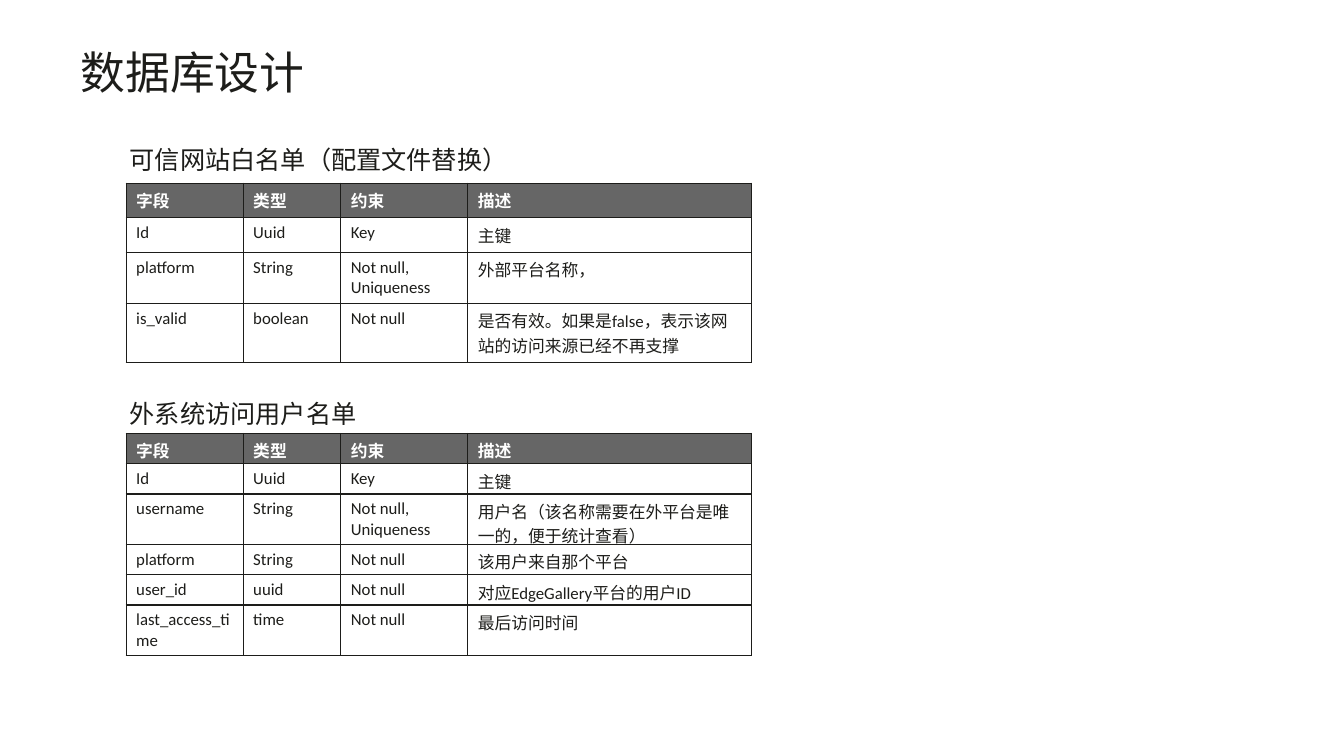
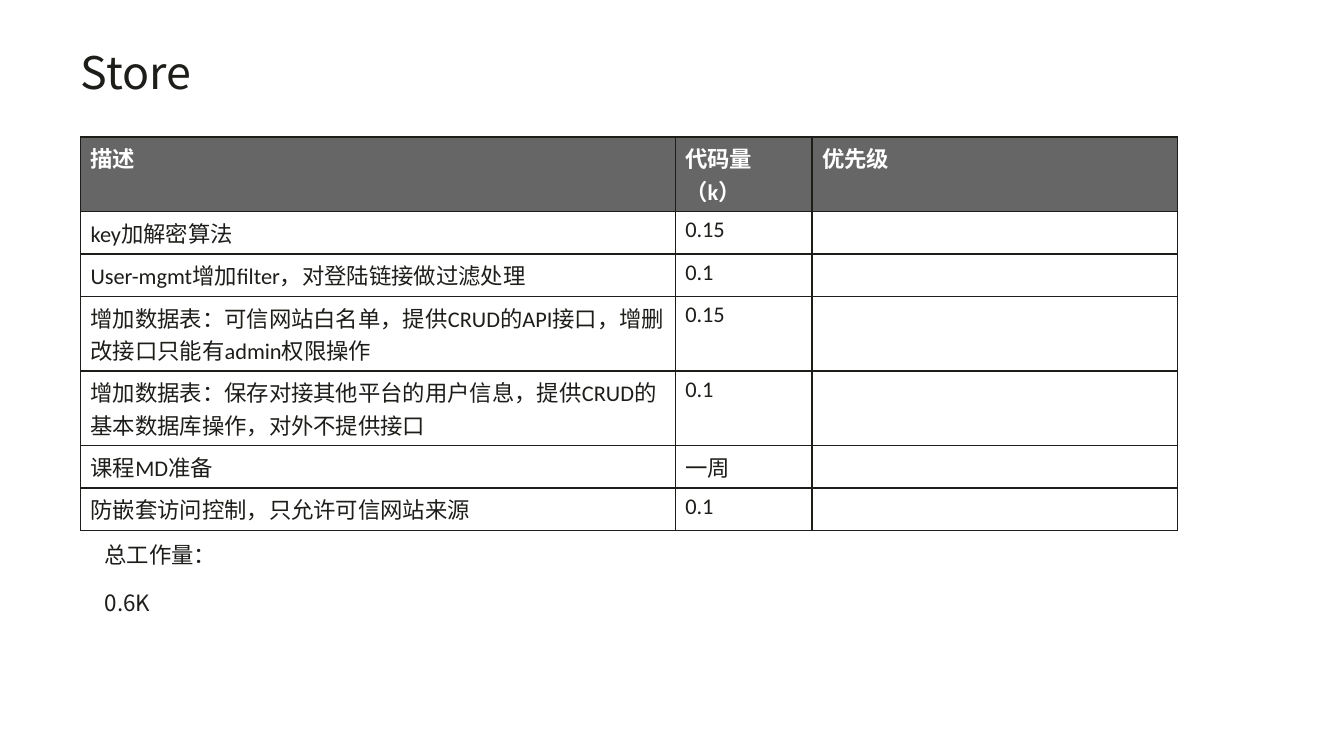
from lxml.etree import SubElement
from pptx import Presentation
from pptx.dml.color import RGBColor
from pptx.enum.lang import MSO_LANGUAGE_ID
from pptx.enum.text import MSO_ANCHOR, MSO_AUTO_SIZE, PP_ALIGN
from pptx.oxml import parse_xml
from pptx.oxml.ns import nsdecls, qn
from pptx.util import Cm, Pt

COLOURS = {"ink": "1D1D1A", "header": "666666", "paper": "FFFFFF"}
LATIN_FONT = "Calibri"
CHINESE_FONT = "Noto Sans CJK SC"
BORDER_WIDTH = Pt(1)


def style_paragraph(paragraph, size, font_name=LATIN_FONT, colour="ink", bold=False):
    for run in paragraph.runs:
        font = run.font
        font.size = Pt(size)
        font.bold = bold
        font.name = font_name
        font.language_id = MSO_LANGUAGE_ID.SIMPLIFIED_CHINESE
        font.color.rgb = RGBColor.from_string(COLOURS[colour])
        SubElement(run._r.get_or_add_rPr(), qn("a:ea")).set("typeface", CHINESE_FONT)


def add_data_table(slide, left, top, column_widths, row_height, size, rows):
    table = slide.shapes.add_table(
        len(rows), len(column_widths), Cm(left), Cm(top),
        Cm(sum(column_widths)), Cm(row_height * len(rows)),
    ).table
    table.horz_banding = False
    for column, width in zip(table.columns, column_widths):
        column.width = Cm(width)
    for row_index, values in enumerate(rows):
        table.rows[row_index].height = Cm(row_height)
        is_header = row_index == 0
        for column_index, value in enumerate(values):
            cell = table.cell(row_index, column_index)
            properties = cell._tc.get_or_add_tcPr()
            for side in ("lnL", "lnR", "lnT", "lnB"):
                properties.append(parse_xml(
                    f'<a:{side} {nsdecls("a")} w="{BORDER_WIDTH}"><a:solidFill>'
                    f'<a:srgbClr val="{COLOURS["ink"]}"/></a:solidFill></a:{side}>'
                ))
            cell.fill.solid()
            cell.fill.fore_color.rgb = RGBColor.from_string(
                COLOURS["header" if is_header else "paper"])
            if value:
                cell.text_frame.text = value
                style_paragraph(cell.text_frame.paragraphs[0], size,
                                colour="paper" if is_header else "ink", bold=is_header)


presentation = Presentation()
presentation.slide_width = Cm(33.88)
presentation.slide_height = Cm(19.05)

slides = []
for title_text in ("数据库设计", "Store"):
    slide = presentation.slides.add_slide(presentation.slide_layouts[5])
    slides.append(slide)
    title = slide.shapes.title
    title.left, title.top, title.width, title.height = Cm(2.03), Cm(1.27), Cm(29.85), Cm(1.8)
    text_frame = title.text_frame
    text_frame.text = title_text
    text_frame.auto_size = MSO_AUTO_SIZE.NONE
    text_frame.vertical_anchor = MSO_ANCHOR.TOP
    text_frame.margin_left = text_frame.margin_right = 0
    text_frame.margin_top = text_frame.margin_bottom = 0
    paragraph = text_frame.paragraphs[0]
    paragraph.alignment = PP_ALIGN.LEFT
    paragraph.line_spacing = Pt(34.3)
    style_paragraph(paragraph, 32, CHINESE_FONT)

database_slide, store_slide = slides

field_header = ("字段", "类型", "约束", "描述")
id_row = ("Id", "Uuid", "Key", "主键")
database_tables = [
    ("可信网站白名单（配置文件替换）", 3.5, 4.62, [
        ("platform", "String", "Not null, Uniqueness", "外部平台名称，"),
        ("is_valid", "boolean", "Not null",
         "是否有效。如果是false，表示该网站的访问来源已经不再支撑"),
    ]),
    ("外系统访问用户名单", 9.9, 10.92, [
        ("username", "String", "Not null, Uniqueness",
         "用户名（该名称需要在外平台是唯一的，便于统计查看）"),
        ("platform", "String", "Not null", "该用户来自那个平台"),
        ("user_id", "uuid", "Not null", "对应EdgeGallery平台的用户ID"),
        ("last_access_time", "time", "Not null", "最后访问时间"),
    ]),
]
for caption_text, caption_top, table_top, field_rows in database_tables:
    add_data_table(database_slide, 3.18, table_top, (2.95, 2.46, 3.2, 7.16), 0.76, 12,
                   [field_header, id_row, *field_rows])
    caption = database_slide.shapes.add_textbox(Cm(3.02), Cm(caption_top), Cm(10.13), Cm(1.02))
    caption.text_frame.word_wrap = True
    caption.text_frame.text = caption_text
    style_paragraph(caption.text_frame.paragraphs[0], 18)

add_data_table(store_slide, 2.03, 3.45, (14.99, 3.45, 9.22), 1.04, 16, [
    ("描述", "代码量（k）", "优先级"),
    ("key加解密算法", "0.15", ""),
    ("User-mgmt增加filter，对登陆链接做过滤处理", "0.1", ""),
    ("增加数据表：可信网站白名单，提供CRUD的API接口，增删改接口只能有admin权限操作", "0.15", ""),
    ("增加数据表：保存对接其他平台的用户信息，提供CRUD的基本数据库操作，对外不提供接口", "0.1", ""),
    ("课程MD准备", "一周", ""),
    ("防嵌套访问控制，只允许可信网站来源", "0.1", ""),
])

total = store_slide.shapes.add_textbox(Cm(2.39), Cm(12.98), Cm(3.8), Cm(2.7))
total.text_frame.word_wrap = True
total.text_frame.text = "总工作量：0.6K"
total_paragraph = total.text_frame.paragraphs[0]
total_paragraph.line_spacing = Pt(34.4)
style_paragraph(total_paragraph, 16, CHINESE_FONT)

presentation.save("out.pptx")
